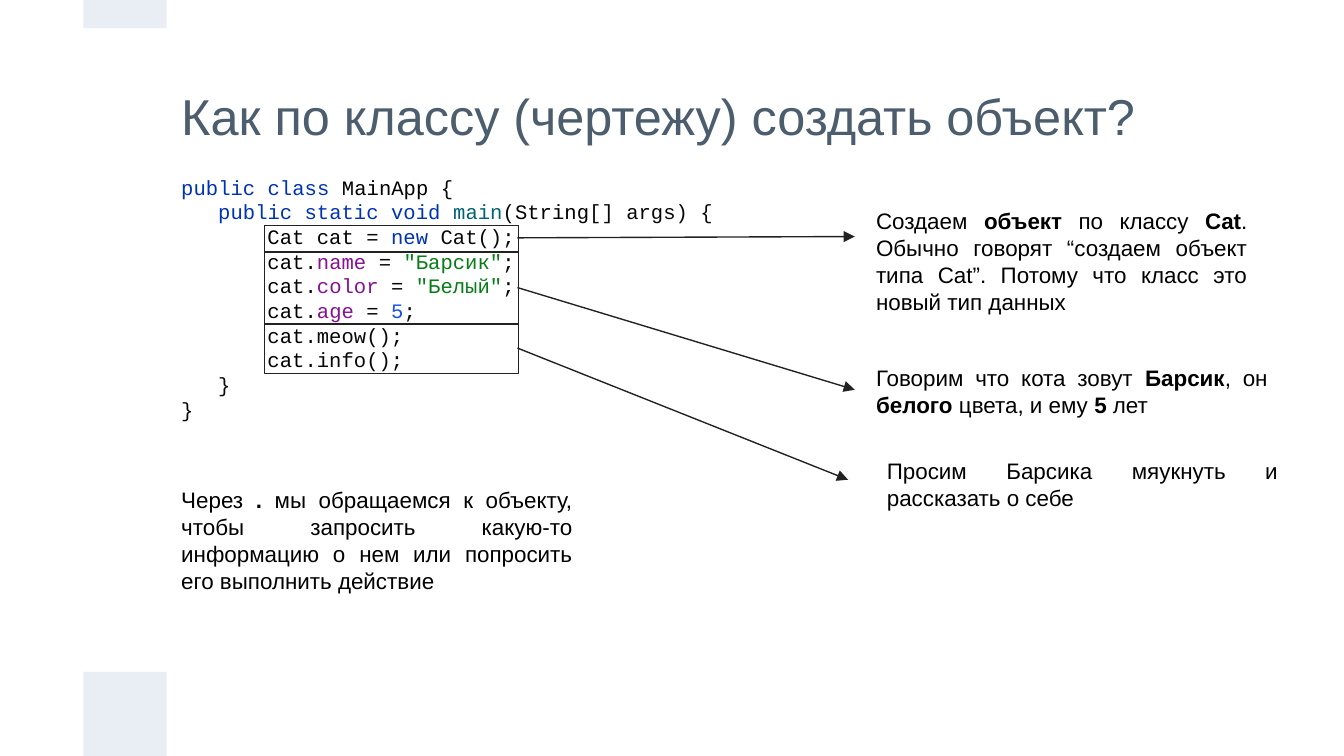
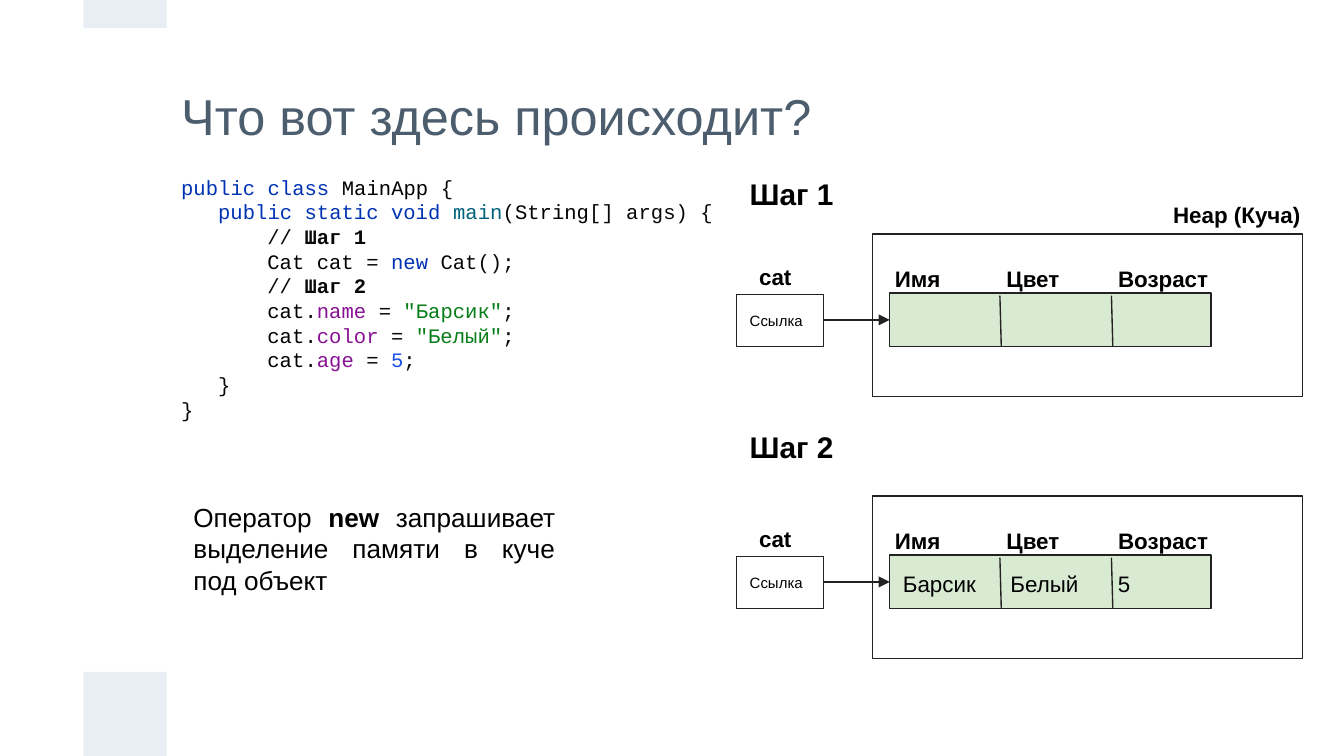
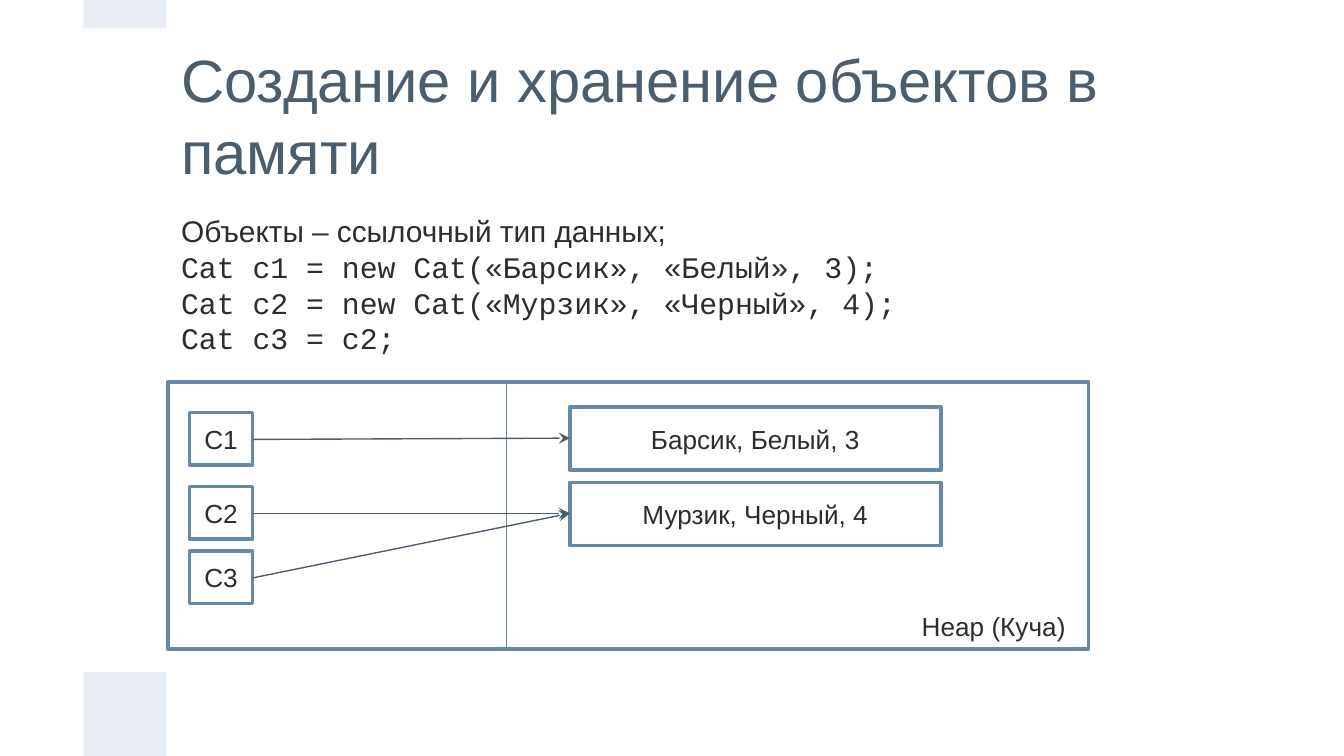
"""Builds three slides on creating Java objects and keeping them in memory."""
from lxml.etree import SubElement
from pptx import Presentation
from pptx.dml.color import RGBColor
from pptx.enum.shapes import MSO_CONNECTOR, MSO_SHAPE
from pptx.enum.text import MSO_ANCHOR, PP_ALIGN
from pptx.oxml.ns import qn
from pptx.util import Inches, Pt

COLORS = {
    "band": "E9EDF4", "title": "4C5D6E", "black": "000000", "ink": "222222",
    "body": "2C2D30", "frame": "6588AB", "white": "FFFFFF", "cell": "D9EAD3",
    "plain": "080808", "keyword": "0033B3", "method": "00627A",
    "field": "871094", "string": "067D17", "number": "1750EB",
}
SANS, MONO = "Arial", "Courier New"
BANDS = [(0.62, 5, 0.62, 0.63), (0.62, 0, 0.62, 0.21)]
CODE_SIZE = 11
CHAR_WIDTH = 0.6


def field_line(name, value, kind):
    """Code line that assigns one field of the cat."""
    return 7, [("cat", "black"), (".", "plain"), (name + " ", "field"),
               ("= ", "plain"), (value, kind), (";", "plain")]


def call_line(method):
    """Code line that calls one method of the cat."""
    return 7, [("cat", "black"), (f".{method}();", "plain")]


def step_line(step):
    """Code line with a comment that names a step."""
    return 7, [("// ", "plain"), (step, "bold")]


CODE_OPEN = [
    (0, [("public class ", "keyword"), ("MainApp ", "black"), ("{", "plain")]),
    (3, [("public static void ", "keyword"), ("main", "method"), ("(", "plain"),
         ("String", "black"), ("[] args) {", "plain")]),
]
CODE_NEW = (7, [("Cat cat ", "black"), ("= ", "plain"), ("new ", "keyword"),
                ("Cat();", "plain")])
CODE_FIELDS = [field_line("name", '"Барсик"', "string"),
               field_line("color", '"Белый"', "string"),
               field_line("age", "5", "number")]
CODE_CLOSE = [(3, [("}", "plain")]), (0, [("}", "plain")])]
STEPS = ["Шаг 1", "Шаг 2"]

CREATE_TITLE = "Как по классу (чертежу) создать объект?"
CREATE_CODE = [*CODE_OPEN, CODE_NEW, *CODE_FIELDS,
               call_line("meow"), call_line("info"), *CODE_CLOSE]
CODE_GROUPS = [
    ((1.68, 0.2), (1.77, 6.36, 1.76), (6.42, 1.44, 2.96, 1.01),
     "Создаем *объект *по классу *Cat*. Обычно говорят “создаем объект типа Cat”. "
     "Потому что класс это новый тип данных"),
    ((1.87, 0.54), (2.14, 6.36, 2.9), (6.42, 2.61, 3.11, 0.61),
     "Говорим что кота зовут *Барсик*, он *белого *цвета, и ему *5* лет"),
    ((2.41, 0.37), (2.59, 6.31, 3.57), (6.5, 3.3, 3.11, 0.61),
     "Просим Барсика мяукнуть и рассказать о себе"),
]
DOT_NOTE = ("Через *.* мы обращаемся к объекту, чтобы запросить какую-то информацию "
            "о нем или попросить его выполнить действие ")

STEPS_TITLE = "Что вот здесь происходит?"
STEPS_CODE = [*CODE_OPEN, step_line(STEPS[0]), CODE_NEW,
              step_line(STEPS[1]), *CODE_FIELDS, *CODE_CLOSE]
FIELD_LABELS = ["Имя", "Цвет", "Возраст"]
STEP_VALUES = [[], ["Барсик", "Белый", "5"]]
NEW_NOTE = "Оператор *new *запрашивает выделение памяти в куче под объект"

MEMORY_TITLE = "Создание и хранение объектов в памяти"
MEMORY_LINES = [
    ("Объекты – ссылочный тип данных;", SANS),
    ("Cat c1 = new Cat(«Барсик», «Белый», 3);", MONO),
    ("Cat c2 = new Cat(«Мурзик», «Черный», 4);", MONO),
    ("Cat c3 = c2;", MONO),
]
REFERENCES = [("C1", 3.07, 0), ("C2", 3.62, 1), ("C3", 4.1, 1)]
OBJECTS = [("Барсик, Белый, 3", 3.03), ("Мурзик, Черный, 4", 3.59)]
HEAP = "Heap (Куча)"


def rgb(name):
    return RGBColor.from_string(COLORS[name])


def add_run(p, text, size, color, bold=False, font=SANS):
    r = p.add_run()
    r.text = text
    r.font.size, r.font.name, r.font.bold = Pt(size), font, bold
    r.font.color.rgb = rgb(color)


def add_rich(p, text, size, color, bold=False):
    """Write text in which asterisks switch bold on and off."""
    for i, part in enumerate(text.split("*")):
        add_run(p, part, size, color, bold or i % 2 == 1)


def set_frame(tf, inset, anchor):
    tf.word_wrap = True
    tf.vertical_anchor = anchor
    tf.margin_left = tf.margin_right = Inches(0.1)
    tf.margin_top = tf.margin_bottom = Inches(inset)
    return tf


def add_box(s, at, anchor=MSO_ANCHOR.TOP, inset=0.1):
    return set_frame(s.shapes.add_textbox(*map(Inches, at)).text_frame, inset, anchor)


def add_text(s, at, text, size=12, color="black", bold=False,
             align=PP_ALIGN.LEFT, anchor=MSO_ANCHOR.TOP, inset=0.1):
    p = add_box(s, at, anchor, inset).paragraphs[0]
    p.alignment = align
    add_rich(p, text, size, color, bold)


def add_rect(s, at, fill=None, line=None, width=0.75):
    sp = s.shapes.add_shape(MSO_SHAPE.RECTANGLE, *map(Inches, at))
    sp.shadow.inherit = False
    if fill:
        sp.fill.solid()
        sp.fill.fore_color.rgb = rgb(fill)
    else:
        sp.fill.background()
    if line:
        sp.line.color.rgb = rgb(line)
        sp.line.width = Pt(width)
    else:
        sp.line.fill.background()
    return sp


def label_rect(sp, text, size, color, align, inset):
    p = set_frame(sp.text_frame, inset, MSO_ANCHOR.MIDDLE).paragraphs[0]
    p.alignment = align
    add_run(p, text, size, color)


def add_line(s, start, end, color="ink", head=None):
    ends = map(Inches, (*start, *end))
    c = s.shapes.add_connector(MSO_CONNECTOR.STRAIGHT, *ends)
    c.line.color.rgb = rgb(color)
    c.line.width = Pt(0.75)
    if head:
        SubElement(c.line._get_or_add_ln(), qn("a:tailEnd"), type=head)
    SubElement(c._element.spPr, qn("a:effectLst"))


def add_code(s, at, lines):
    tf = add_box(s, at)
    for i, (indent, tokens) in enumerate(lines):
        p = tf.paragraphs[0] if i == 0 else tf.add_paragraph()
        pPr = p._p.get_or_add_pPr()
        pPr.set("marL", str(Pt(indent * CODE_SIZE * CHAR_WIDTH)))
        pPr.set("indent", "0")
        for text, kind in tokens:
            bold = kind == "bold"
            add_run(p, text, CODE_SIZE, "plain" if bold else kind, bold, MONO)


def add_slide(prs, title, size=27):
    s = prs.slides.add_slide(prs.slide_layouts[6])
    for at in BANDS:
        add_rect(s, at, "band")
    add_text(s, (1.25, 0.23, 7.5, 1.25), title, size, "title", anchor=MSO_ANCHOR.MIDDLE)
    return s


def build_create(prs):
    s = add_slide(prs, CREATE_TITLE)
    add_code(s, (1.25, 1.2, 5.09, 2.05), CREATE_CODE)
    for (top, height), (y, end_x, end_y), note_at, note in CODE_GROUPS:
        add_rect(s, (1.97, top, 1.89, height), line="ink")
        add_line(s, (3.85, y), (end_x, end_y), head="triangle")
        add_text(s, note_at, note, align=PP_ALIGN.JUSTIFY)
    add_text(s, (1.25, 3.52, 3.11, 1.01), DOT_NOTE, align=PP_ALIGN.JUSTIFY)


def add_step(s, top, values):
    """Draw a reference and the heap object it points to."""
    add_rect(s, (6.49, top, 3.2, 1.21), line="ink")
    reference = add_rect(s, (5.48, top + 0.45, 0.65, 0.39), line="ink")
    label_rect(reference, "Ссылка", 8, "black", PP_ALIGN.LEFT, 0.1)
    add_text(s, (5.55, top + 0.12, 0.49, 0.4), "cat", bold=True)
    add_rect(s, (6.62, top + 0.44, 2.39, 0.4), "cell", "ink")
    add_line(s, (6.13, top + 0.64), (6.62, top + 0.64), head="triangle")
    for i, label in enumerate(FIELD_LABELS):
        add_text(s, (6.56 + 0.83 * i, top + 0.13, 0.95, 0.4), label, bold=True)
    for x in (7.44, 8.27):
        add_line(s, (x, top + 0.46), (x + 0.01, top + 0.84))
    for i, value in enumerate(values):
        add_text(s, (6.62 + 0.8 * i, top + 0.45, 0.8, 0.4), value)


def build_steps(prs):
    s = add_slide(prs, STEPS_TITLE)
    add_code(s, (1.25, 1.2, 4.23, 2.05), STEPS_CODE)
    for i, (step, values) in enumerate(zip(STEPS, STEP_VALUES)):
        add_text(s, (5.48, 1.21 + 1.88 * i, 1.11, 0.47), step, 16, bold=True)
        add_step(s, 1.74 + 1.95 * i, values)
    add_text(s, (8.63, 1.4, 1.31, 0.4), HEAP, bold=True)
    add_text(s, (1.34, 3.63, 2.89, 0.91), NEW_NOTE, 14, align=PP_ALIGN.JUSTIFY)


def build_memory(prs):
    s = add_slide(prs, MEMORY_TITLE, 32)
    tf = add_box(s, (1.25, 1.4, 7.5, 1.43), MSO_ANCHOR.MIDDLE)
    for i, (text, font) in enumerate(MEMORY_LINES):
        p = tf.paragraphs[0] if i == 0 else tf.add_paragraph()
        add_run(p, text, 16, "body", font=font)
    add_rect(s, (1.25, 2.84, 6.85, 1.99), "white", "frame", 2)
    add_line(s, (3.77, 2.84), (3.77, 4.82), "frame")
    add_text(s, (6.76, 4.49, 1.34, 0.34), HEAP, 14, "body", inset=0.05)
    boxes = [(name, (1.41, top, 0.47, 0.39)) for name, top, _ in REFERENCES]
    boxes += [(name, (4.24, top, 2.76, 0.47)) for name, top in OBJECTS]
    for name, at in boxes:
        sp = add_rect(s, at, "white", "frame", 2)
        label_rect(sp, name, 14, "body", PP_ALIGN.CENTER, 0.05)
    for _, top, target in REFERENCES:
        end_y = OBJECTS[target][1] + 0.23
        add_line(s, (1.88, top + 0.2), (4.24, end_y), "title", "stealth")


def main():
    prs = Presentation()
    prs.slide_width = Inches(10)
    prs.slide_height = Inches(10) * 9 // 16
    build_create(prs)
    build_steps(prs)
    build_memory(prs)
    prs.save("out.pptx")


if __name__ == "__main__":
    main()
